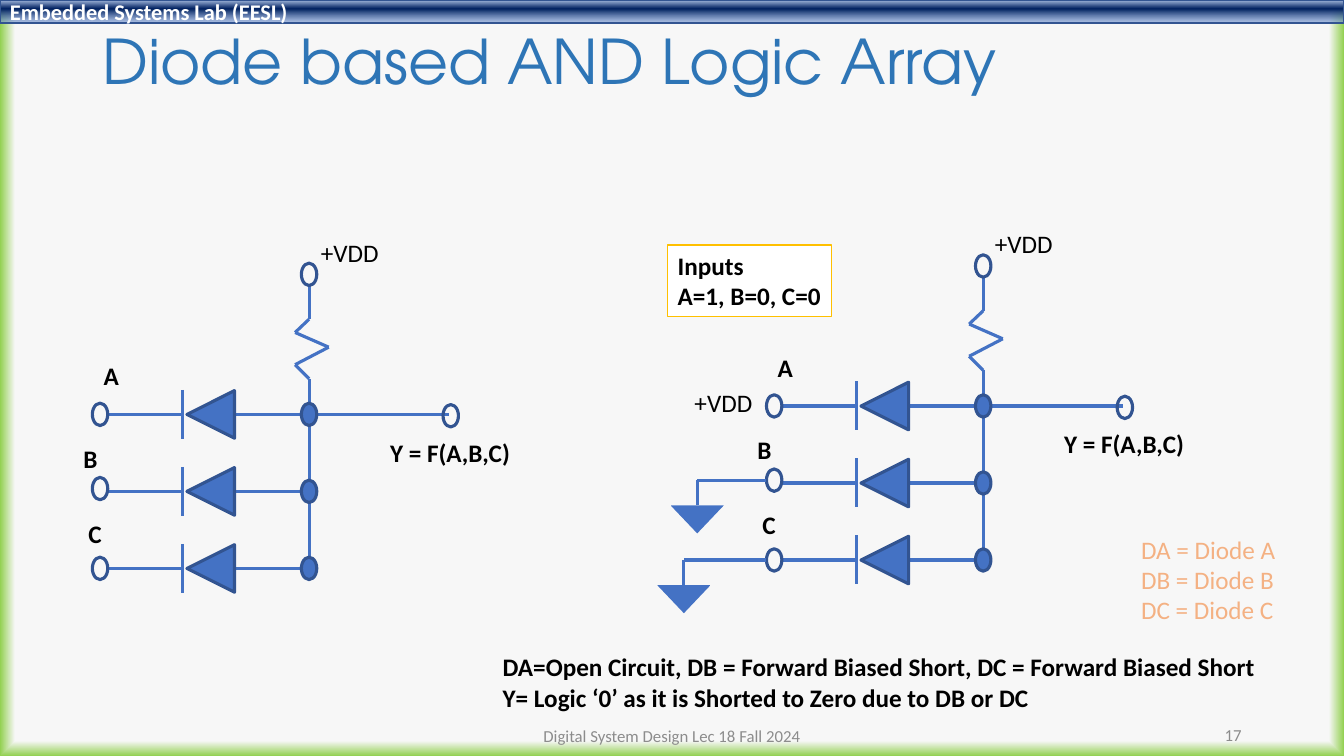
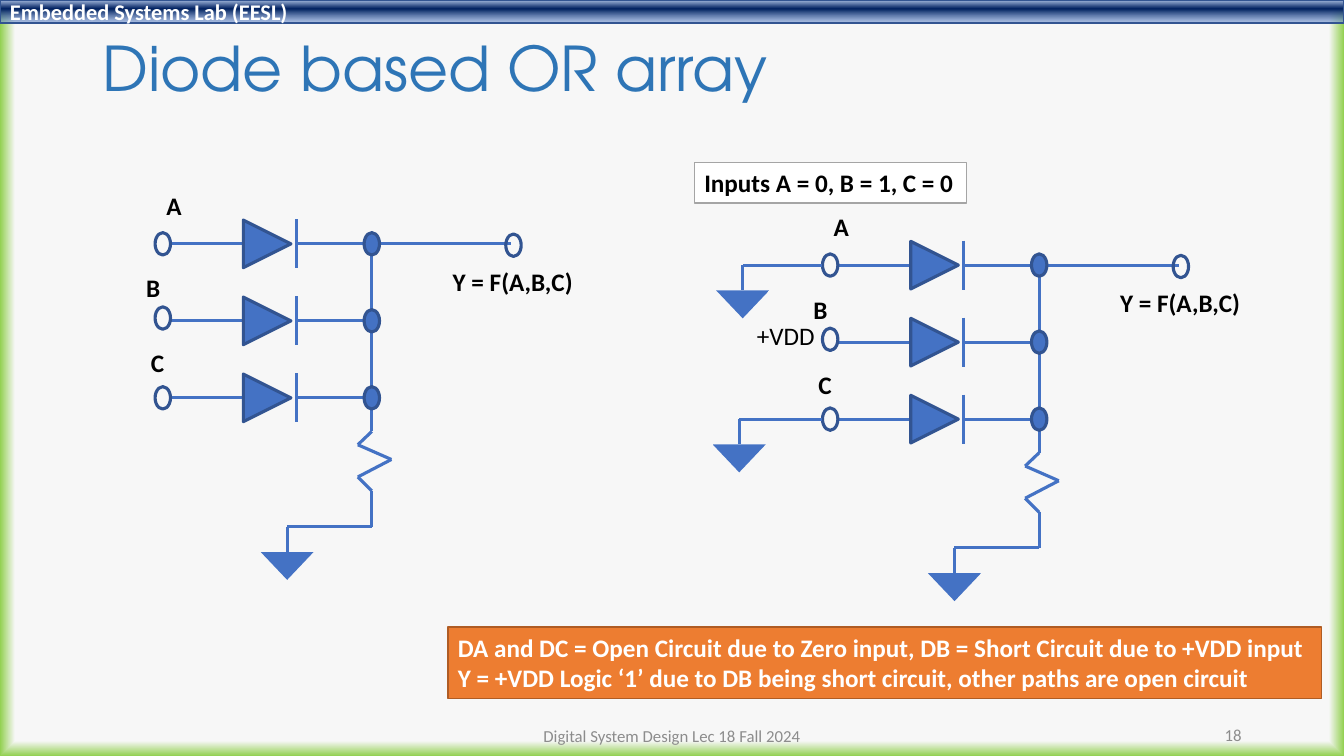
from dataclasses import dataclass
from enum import Enum
from itertools import pairwise

from lxml.etree import SubElement
from pptx import Presentation
from pptx.dml.color import RGBColor
from pptx.enum.dml import MSO_PATTERN
from pptx.enum.shapes import MSO_CONNECTOR, MSO_SHAPE
from pptx.enum.text import MSO_ANCHOR, PP_ALIGN
from pptx.oxml.ns import qn
from pptx.util import Pt

COLORS = {
    "white": "FFFFFF", "black": "000000", "wire": "4472C4", "edge": "325491",
    "title": "2E75B6", "footer": "8C8C8C", "legend": "F4B183",
    "gold": "FFC000", "gray": "A5A5A5", "orange": "ED7D31", "rust": "AF5C24",
    "page": "F7F7F7", "green": "92D050",
    "bar_top": "ABC0E4", "bar_mid": "002060", "bar_end": "7E9ED6",
}
BODY_FONT = "Calibri"
TITLE_FONT = "TeX Gyre Adventor"
WIDTH, HEIGHT = 960, 540
STROKE = 2.25

ROW_GAP = 55
BUS = 149.3
OUTPUT = 250.5
PORT_W, PORT_H = 11, 16
DIODE = 34
BAR_HALF = 17.5
ZIGZAG = ((0, 0), (-10, 9.5), (14, 20), (-10, 32.5), (0, 42.5))
LABELS = (("A", -4.6, -42), ("B", -19, 17), ("C", -15.5, 70.5))
PORT_SHIFTS = (0, -2, 0)


class Gate(Enum):
    AND = "and"
    OR = "or"


class Level(Enum):
    OPEN = "open"
    HIGH = "high"
    LOW = "low"


@dataclass(frozen=True)
class Input:
    level: Level = Level.OPEN
    reach: float = 0


@dataclass(frozen=True)
class Circuit:
    x: float
    y: float
    gate: Gate
    inputs: tuple[Input, ...] = (Input(), Input(), Input())


@dataclass(frozen=True)
class Note:
    text: str
    box: tuple[float, float, float, float]
    color: str = "black"
    bold: bool = True
    fill: str | None = None
    line: str | None = None


@dataclass(frozen=True)
class Page:
    number: int
    title: str
    title_box: tuple[float, float, float, float]
    circuits: tuple[Circuit, ...]
    notes: tuple[Note, ...]


PAGES = (
    Page(
        17, "Diode based AND Logic Array", (66, 11, 828, 70.5),
        (
            Circuit(71.5, 296, Gate.AND),
            Circuit(553, 290, Gate.AND, (
                Input(Level.HIGH, 64), Input(Level.LOW, 55), Input(Level.LOW, 64.5))),
        ),
        (
            Note("DA=Open Circuit, DB = Forward Biased Short, DC = Forward Biased Short\n"
                 "Y= Logic ‘0’ as it is Shorted to Zero due to DB or DC",
                 (352, 462, 557, 51)),
            Note("Inputs\nA=1, B=0, C=0", (477, 175, 117, 51), fill="white", line="gold"),
            Note("DA = Diode A\nDB = Diode B\nDC = Diode C", (808, 378, 112, 73),
                 color="legend", bold=False),
        ),
    ),
    Page(
        18, "Diode based OR array", (66, 19.5, 828, 62.5),
        (
            Circuit(116.3, 174.2, Gate.OR),
            Circuit(593, 189.4, Gate.OR, (
                Input(Level.LOW, 62.5), Input(Level.HIGH, 59.5), Input(Level.LOW, 65))),
        ),
        (
            Note("Inputs A = 0, B = 1, C = 0", (496, 116, 194.5, 29),
                 fill="white", line="gray"),
            Note("DA and DC = Open Circuit due to Zero input, "
                 "DB = Short Circuit due to +VDD input\n"
                 "Y = +VDD Logic ‘1’ due to DB being short circuit, "
                 "other paths are open circuit",
                 (320, 448, 624, 51), color="white", fill="orange", line="rust"),
        ),
    ),
)


def rgb(name: str) -> RGBColor:
    return RGBColor.from_string(COLORS[name])


def set_gradient(element, stops, angle: int | None = None) -> None:
    grad = next(element.iter(qn("a:gradFill")))
    del grad[:]
    stop_list = SubElement(grad, qn("a:gsLst"))
    for pos, color, alpha in stops:
        stop = SubElement(stop_list, qn("a:gs"), pos=str(pos * 1000))
        clr = SubElement(stop, qn("a:srgbClr"), val=COLORS[color])
        if alpha < 100:
            SubElement(clr, qn("a:alpha"), val=str(alpha * 1000))
    if angle is None:
        shade = SubElement(grad, qn("a:path"), {"path": "shape"})
        SubElement(shade, qn("a:fillToRect"), {side: "50000" for side in "ltrb"})
    else:
        SubElement(grad, qn("a:lin"), ang=str(angle * 60000), scaled="0")


def add_text(shapes, text: str, x: float, y: float, w: float, h: float, *,
             size: float = 18, color: str = "black", bold: bool = False,
             font: str = BODY_FONT, align=PP_ALIGN.LEFT, anchor=MSO_ANCHOR.TOP,
             wrap: bool = False, spacing: float = 1.0,
             fill: str | None = None, line: str | None = None):
    box = Pt(x), Pt(y), Pt(w), Pt(h)
    if fill:
        sp = shapes.add_shape(MSO_SHAPE.RECTANGLE, *box)
        sp.shadow.inherit = False
        sp.fill.solid()
        sp.fill.fore_color.rgb = rgb(fill)
        sp.line.color.rgb = rgb(line or fill)
        sp.line.width = Pt(1)
    else:
        sp = shapes.add_textbox(*box)
    tf = sp.text_frame
    tf.word_wrap = wrap
    tf.vertical_anchor = anchor
    for i, content in enumerate(text.split("\n")):
        p = tf.paragraphs[0] if i == 0 else tf.add_paragraph()
        p.alignment = align
        p.line_spacing = spacing
        r = p.add_run()
        r.text = content
        r.font.size = Pt(size)
        r.font.bold = bold
        r.font.name = font
        r.font.color.rgb = rgb(color)
    return sp


def add_wire(shapes, *points: tuple[float, float]) -> None:
    for (x1, y1), (x2, y2) in pairwise(points):
        conn = shapes.add_connector(
            MSO_CONNECTOR.STRAIGHT, Pt(x1), Pt(y1), Pt(x2), Pt(y2))
        conn.line.color.rgb = rgb("wire")
        conn.line.width = Pt(STROKE)
        SubElement(conn._element.spPr, qn("a:effectLst"))


def add_part(shapes, kind, cx: float, cy: float, w: float, h: float, *,
             rotation: float = 0, filled: bool = True):
    sp = shapes.add_shape(kind, Pt(cx - w / 2), Pt(cy - h / 2), Pt(w), Pt(h))
    sp.shadow.inherit = False
    sp.rotation = rotation
    if filled:
        sp.fill.solid()
        sp.fill.fore_color.rgb = rgb("wire")
    else:
        sp.fill.background()
    sp.line.color.rgb = rgb("edge")
    sp.line.width = Pt(STROKE)
    return sp


def add_port(shapes, cx: float, cy: float, filled: bool = False) -> None:
    add_part(shapes, MSO_SHAPE.OVAL, cx, cy, PORT_W, PORT_H, filled=filled)


def add_ground(shapes, x: float, y: float, ground_x: float) -> None:
    tip = y + 18
    add_wire(shapes, (x, y), (ground_x, y), (ground_x, tip))
    sp = add_part(shapes, MSO_SHAPE.ISOSCELES_TRIANGLE, ground_x, tip + 10, 38, 20,
                  rotation=180)
    sp.fill.patterned()
    sp.fill.pattern = MSO_PATTERN.DARK_HORIZONTAL
    sp.fill.fore_color.rgb = rgb("wire")
    sp.fill.back_color.rgb = rgb("white")
    sp.line.fill.background()


def add_resistor(shapes, x: float, start: float, top: float, end: float) -> None:
    zigzag = [(x + dx, top + dy) for dx, dy in ZIGZAG]
    add_wire(shapes, (x, start), *zigzag, (x, end))


def add_diode(shapes, x: float, y: float, gate: Gate) -> None:
    is_and = gate is Gate.AND
    bar = x + (58.7 if is_and else 95.5)
    add_part(shapes, MSO_SHAPE.ISOSCELES_TRIANGLE, x + (79 if is_and else 74.5), y,
             DIODE, DIODE, rotation=270 if is_and else 90)
    add_wire(shapes, (bar, y - BAR_HALF), (bar, y + BAR_HALF))


def add_input(shapes, source: Input, x: float, y: float) -> None:
    add_port(shapes, x, y)
    if source.level is Level.LOW:
        add_ground(shapes, x - PORT_W / 2, y, x - source.reach)
    elif source.level is Level.HIGH:
        add_text(shapes, "+VDD", x - source.reach, y - 17, 56, 29)


def add_circuit(s, c: Circuit) -> None:
    shapes = s.shapes.add_group_shape().shapes
    bus = c.x + BUS
    rows = [c.y + i * ROW_GAP for i in range(len(c.inputs))]
    if c.gate is Gate.AND:
        add_resistor(shapes, bus, c.y - 93, c.y - 68, c.y)
        add_port(shapes, bus, c.y - 100)
        add_text(shapes, "+VDD", bus + 1, c.y - 136, 56, 40,
                 align=PP_ALIGN.CENTER, anchor=MSO_ANCHOR.MIDDLE)
    else:
        end = c.y + 202
        add_resistor(shapes, bus, rows[-1], c.y + 134, end)
        add_ground(shapes, bus, end, bus - 60.5)
    add_wire(shapes, (bus, rows[0]), (bus, rows[-1]))
    add_wire(shapes, (bus, c.y), (c.x + OUTPUT - 1.5, c.y))
    add_port(shapes, c.x + OUTPUT, c.y + 1)
    add_text(shapes, "Y = F(A,B,C)", c.x + 200, c.y + 12.5, 101.5, 29, bold=True)
    for y, shift, source in zip(rows, PORT_SHIFTS, c.inputs):
        add_wire(shapes, (c.x + PORT_W / 2, y), (c.x + 58.5, y))
        add_wire(shapes, (c.x + 96, y), (bus, y))
        add_diode(shapes, c.x, y, c.gate)
        add_input(shapes, source, c.x, y + shift)
        add_port(shapes, bus, y, filled=True)
    for label, dx, dy in LABELS:
        add_text(shapes, label, c.x + dx, c.y + dy, 25, 29, bold=True)


def add_frame(s, page: Page) -> None:
    middle = {"anchor": MSO_ANCHOR.MIDDLE, "wrap": True}
    header = add_text(s.shapes, "Embedded Systems Lab (EESL)", 0, 0, WIDTH, 16.5,
                      size=16, color="white", bold=True,
                      fill="bar_mid", line="edge", **middle)
    header.fill.gradient()
    set_gradient(header._element, (
        (2, "bar_top", 100), (38, "bar_mid", 100), (93, "bar_end", 64)), angle=90)
    add_text(s.shapes, page.title, *page.title_box, size=44, color="title",
             font=TITLE_FONT, spacing=0.9, **middle)
    add_text(s.shapes, "Digital System Design Lec 18 Fall 2024", 318, 511, 324, 29,
             size=12, color="footer", align=PP_ALIGN.CENTER, **middle)
    add_text(s.shapes, str(page.number), 678, 510.5, 216, 29,
             size=12, color="footer", align=PP_ALIGN.RIGHT, **middle)


def main() -> None:
    prs = Presentation()
    prs.slide_width, prs.slide_height = Pt(WIDTH), Pt(HEIGHT)
    master = prs.slide_master
    master.background.fill.gradient()
    set_gradient(master._element, ((96, "page", 100), (100, "green", 100)))
    for page in PAGES:
        s = prs.slides.add_slide(prs.slide_layouts[6])
        add_frame(s, page)
        for circuit in page.circuits:
            add_circuit(s, circuit)
        for note in page.notes:
            add_text(s.shapes, note.text, *note.box, color=note.color,
                     bold=note.bold, fill=note.fill, line=note.line)
    prs.save("out.pptx")


if __name__ == "__main__":
    main()
